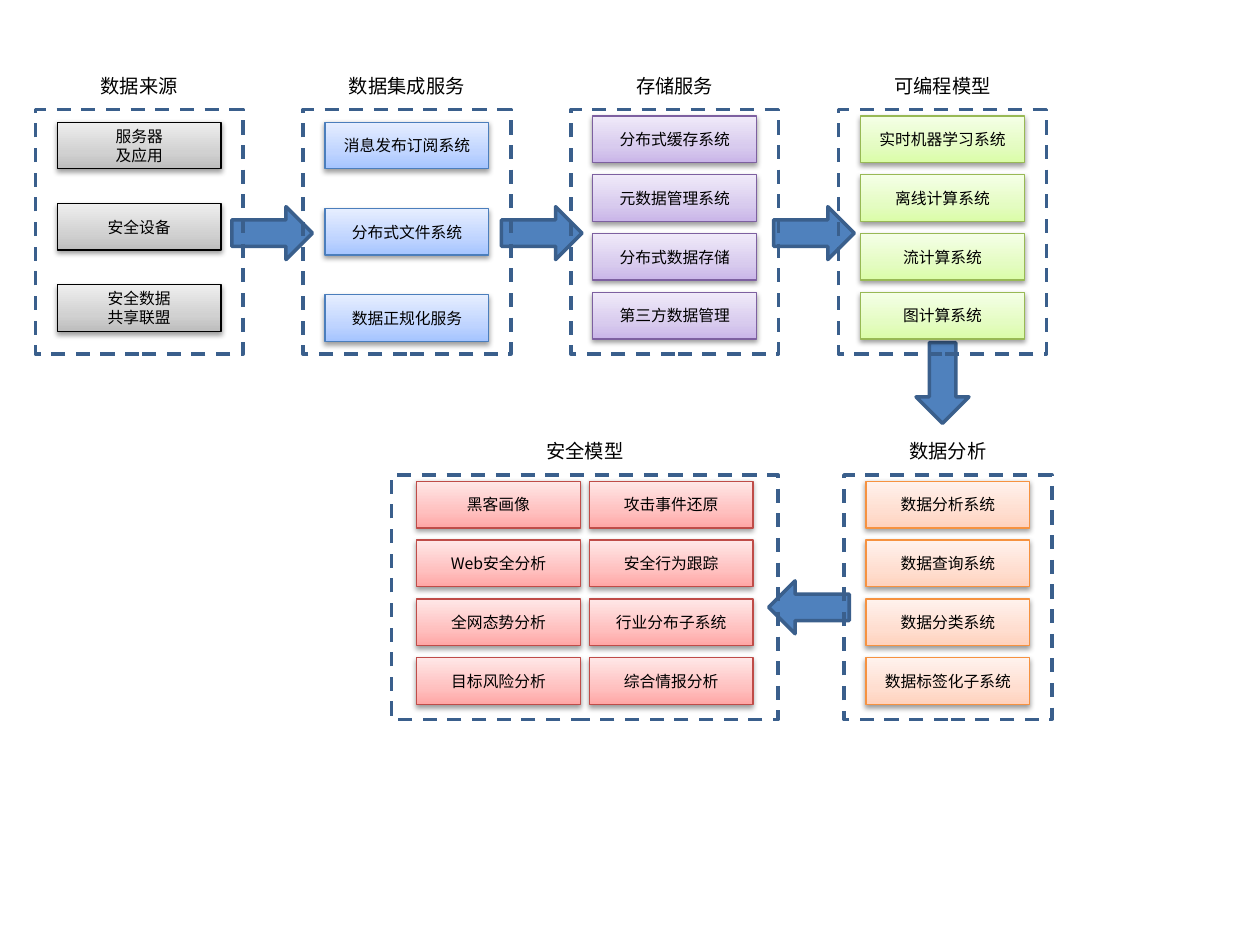
from copy import deepcopy
from dataclasses import dataclass

from lxml import etree
from pptx import Presentation
from pptx.dml.color import RGBColor
from pptx.enum.dml import MSO_LINE
from pptx.enum.shapes import MSO_SHAPE
from pptx.enum.text import MSO_ANCHOR, MSO_AUTO_SIZE, PP_ALIGN
from pptx.oxml.ns import qn
from pptx.util import Inches, Pt

RECTANGLE, RIGHT_ARROW = MSO_SHAPE.RECTANGLE, MSO_SHAPE.RIGHT_ARROW
DASH = MSO_LINE.DASH
CENTER = PP_ALIGN.CENTER
TOP, MIDDLE = MSO_ANCHOR.TOP, MSO_ANCHOR.MIDDLE
FIT_SHAPE = MSO_AUTO_SIZE.SHAPE_TO_FIT_TEXT

FONT = "Noto Sans CJK SC"
FRAME_COLOR, ARROW_COLOR, BLACK = "3A5F8C", "4F81BD", "000000"
GRID_LEFT, GRID_TOP = 0.28, 0.87
COLUMN_PITCH, ROW_PITCH = 2.125, 2.9
PANEL_WIDTH, PANEL_HEIGHT = 1.65, 1.94
BOX_WIDTH, BOX_HEIGHT, BOX_COLUMN_PITCH = 1.3, 0.37, 1.37
ARROW_WIDTH, ARROW_HEIGHT = 0.64, 0.42

GRAY = ("000000", "BDBDBD", "D1D1D1", "EEEEEE")
BLUE = ("4B7EBC", "A4C4FF", "BFD4FF", "E6EEFF")
PURPLE = ("7D60A0", "C9B5E8", "D8CBEE", "F0EAF9")
GREEN = ("98B955", "DAFDA7", "E4FCC2", "F5FFE7")
ORANGE = ("F69240", "FFD2BD", "FFDED0", "FFF2ED")
RED = ("BF4C48", "FFA6A5", "FFC0BF", "FFE7E7")


@dataclass
class Panel:
    title: str
    palette: tuple
    columns: list
    column: float
    row: int = 0
    width: float = PANEL_WIDTH
    first_box: float = 0.05
    box_pitch: float = 0.467


PANELS = [
    Panel("数据来源", GRAY, [["服务器\n及应用", "安全设备", "安全数据\n共享联盟"]],
          0, first_box=0.1, box_pitch=0.645),
    Panel("数据集成服务", BLUE, [["消息发布订阅系统", "分布式文件系统", "数据正规化服务"]],
          1, first_box=0.1, box_pitch=0.685),
    Panel("存储服务", PURPLE,
          [["分布式缓存系统", "元数据管理系统", "分布式数据存储", "第三方数据管理"]], 2),
    Panel("可编程模型", GREEN,
          [["实时机器学习系统", "离线计算系统", "流计算系统", "图计算系统"]], 3),
    Panel("数据分析", ORANGE,
          [["数据分析系统", "数据查询系统", "数据分类系统", "数据标签化子系统"]], 3.02, row=1),
    Panel("安全模型", RED,
          [["黑客画像", "Web安全分析", "全网态势分析", "目标风险分析"],
           ["攻击事件还原", "安全行为跟踪", "行业分布子系统", "综合情报分析"]],
          1.33, row=1, width=3.07),
]

FLOW_ARROWS = [(6.1, 4.61, 180), (7.16, 2.83, 90),
               (3.98, 1.64, 0), (6.14, 1.64, 0), (1.84, 1.64, 0)]


def color(value):
    return RGBColor.from_string(value)


def write(shape, text, size, anchor=MIDDLE, wrap=True):
    frame = shape.text_frame
    frame.word_wrap = wrap
    frame.vertical_anchor = anchor
    frame.text = text
    for paragraph in frame.paragraphs:
        paragraph.alignment = CENTER
        for run in paragraph.runs:
            run.font.size = Pt(size)
            run.font.color.rgb = color(BLACK)
            run.font.name = FONT
            etree.SubElement(run.font._element, qn("a:ea"), typeface=FONT)


def add_shape(slide, kind, left, top, width, height, line, weight):
    shape = slide.shapes.add_shape(
        kind, Inches(left), Inches(top), Inches(width), Inches(height))
    shape.shadow.inherit = False
    shape.line.color.rgb = color(line)
    shape.line.width = Pt(weight)
    return shape


def add_arrow(slide, left, top, rotation):
    arrow = add_shape(slide, RIGHT_ARROW, left, top, ARROW_WIDTH, ARROW_HEIGHT,
                      FRAME_COLOR, 2)
    arrow.fill.solid()
    arrow.fill.fore_color.rgb = color(ARROW_COLOR)
    arrow.rotation = rotation


def fill_gradient(shape, colors):
    shape.fill.gradient()
    shape.fill.gradient_angle = 90
    stop_list = shape._element.spPr.find(".//" + qn("a:gsLst"))
    stop_list.append(deepcopy(stop_list[0]))
    for stop, position, value in zip(shape.fill.gradient_stops, (0, 0.35, 1), colors):
        stop.position = position
        stop.color.rgb = color(value)


def add_soft_shadow(shape):
    effects = shape._element.spPr.find(qn("a:effectLst"))
    shadow = etree.SubElement(
        effects, qn("a:outerShdw"), blurRad=str(Pt(3.1)), dist=str(Pt(1.6)),
        dir="5400000", rotWithShape="0")
    tint = etree.SubElement(shadow, qn("a:srgbClr"), val=BLACK)
    etree.SubElement(tint, qn("a:alpha"), val="38000")


def add_box(slide, label, left, top, palette):
    outline, *gradient = palette
    box = add_shape(slide, RECTANGLE, left, top, BOX_WIDTH, BOX_HEIGHT, outline, 0.75)
    fill_gradient(box, gradient)
    add_soft_shadow(box)
    write(box, label, 9)


def add_title(slide, title, center, top):
    width = 0.2 + 0.155 * len(title)
    heading = slide.shapes.add_textbox(
        Inches(center - width / 2), Inches(top), Inches(width), Inches(0.29))
    write(heading, title, 11, anchor=TOP, wrap=False)
    heading.text_frame.auto_size = FIT_SHAPE


def add_panel(slide, panel):
    left = GRID_LEFT + panel.column * COLUMN_PITCH
    top = GRID_TOP + panel.row * ROW_PITCH
    center = left + panel.width / 2
    boxes_width = BOX_WIDTH + (len(panel.columns) - 1) * BOX_COLUMN_PITCH
    boxes_left = center - boxes_width / 2
    for column, labels in enumerate(panel.columns):
        for row, label in enumerate(labels):
            add_box(slide, label, boxes_left + column * BOX_COLUMN_PITCH,
                    top + panel.first_box + row * panel.box_pitch, panel.palette)
    add_title(slide, panel.title, center, top - 0.33)
    border = add_shape(slide, RECTANGLE, left, top, panel.width, PANEL_HEIGHT,
                       FRAME_COLOR, 2)
    border.fill.background()
    border.line.dash_style = DASH


def main():
    deck = Presentation()
    deck.slide_width, deck.slide_height = Inches(10), Inches(7.5)
    slide = deck.slides.add_slide(deck.slide_layouts[6])
    for left, top, rotation in FLOW_ARROWS:
        add_arrow(slide, left, top, rotation)
    for panel in PANELS:
        add_panel(slide, panel)
    deck.save("out.pptx")


main()
